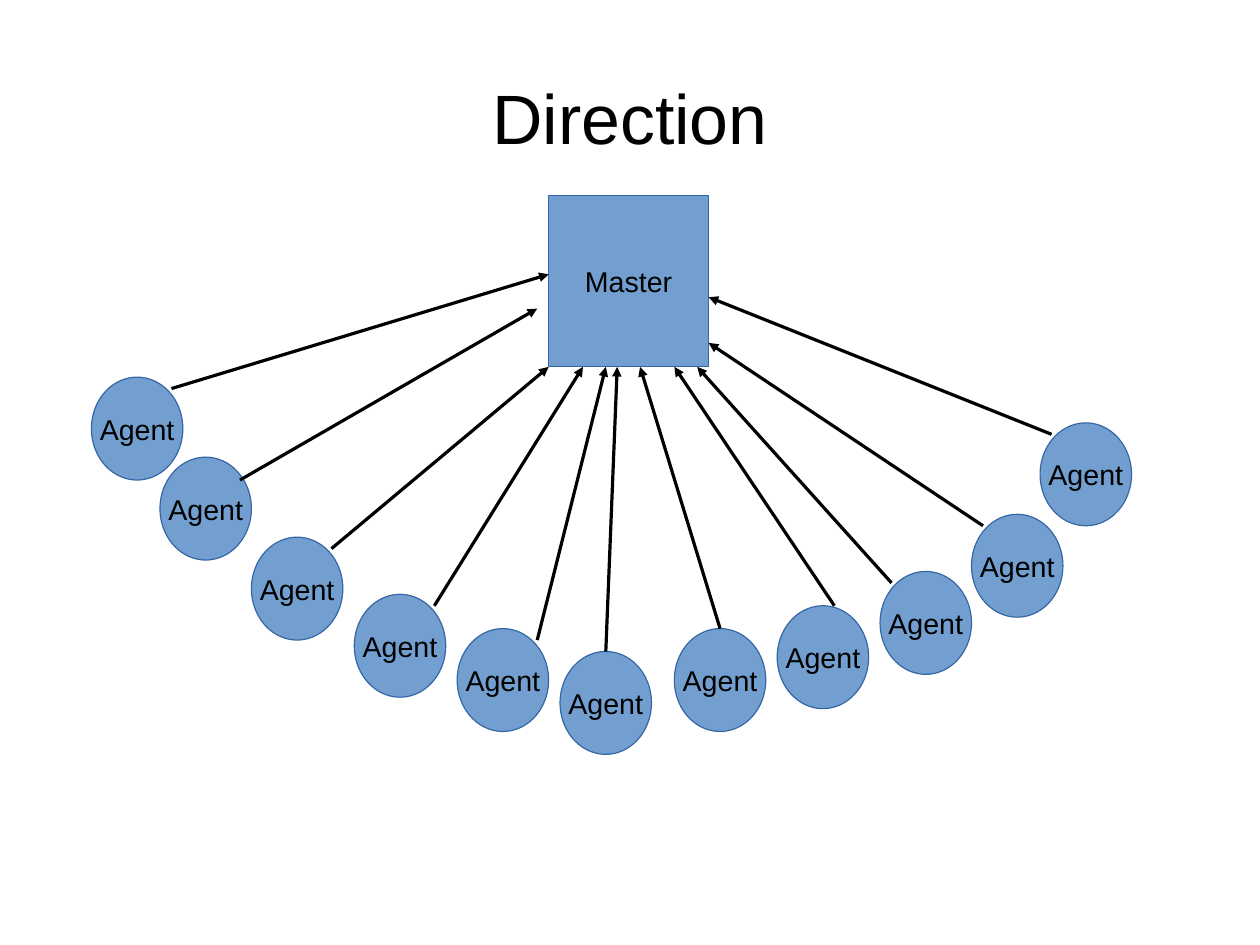
"""Build the Direction slide: agents along an arc pointing to their master."""
from typing import NamedTuple

from lxml import etree
from pptx import Presentation
from pptx.dml.color import RGBColor
from pptx.enum.shapes import MSO_CONNECTOR, MSO_SHAPE
from pptx.enum.text import MSO_ANCHOR, MSO_AUTO_SIZE, PP_ALIGN
from pptx.oxml.ns import qn
from pptx.util import Cm, Pt

STRAIGHT = MSO_CONNECTOR.STRAIGHT
RECTANGLE, OVAL = MSO_SHAPE.RECTANGLE, MSO_SHAPE.OVAL
MIDDLE, CENTER = MSO_ANCHOR.MIDDLE, PP_ALIGN.CENTER
NO_AUTOFIT = MSO_AUTO_SIZE.NONE

COLORS = {"fill": "729FCF", "outline": "3465A4", "ink": "000000"}
GRID_CM = 0.254
AGENT_WIDTH, AGENT_HEIGHT = 8, 9
TOP_SITE = 0
TOP_MIDDLE = (AGENT_WIDTH / 2, 0)
UPPER_RIGHT, UPPER_LEFT = (7, 1), (1, 1)
MASTER_LEFT, MASTER_TOP, MASTER_WIDTH, MASTER_HEIGHT = 48, 17.1, 14, 15
MASTER_RIGHT = MASTER_LEFT + MASTER_WIDTH
MASTER_BOTTOM = MASTER_TOP + MASTER_HEIGHT

NODE_FRAME = {
    "margin_left": Cm(0.25), "margin_right": Cm(0.25),
    "margin_top": Cm(0.13), "margin_bottom": Cm(0.13),
    "vertical_anchor": MIDDLE, "word_wrap": False,
}
TITLE_FRAME = {
    "margin_left": 0, "margin_right": 0, "margin_top": 0, "margin_bottom": 0,
    "vertical_anchor": MIDDLE, "word_wrap": True, "auto_size": NO_AUTOFIT,
}
TITLE_PLACE = {"left": Cm(1.4), "top": Cm(0.84), "width": Cm(25.2), "height": Cm(3.51)}


class Agent(NamedTuple):
    """An agent's corner, its arrow's start within it, and the arrow's target, in grid steps."""
    left: float
    top: float
    start: tuple[float, float]
    target: tuple[float, float]


AGENTS = [
    Agent(8, 33, UPPER_RIGHT, (MASTER_LEFT, 24)),
    Agent(14, 40, (7, 2), (47, 27)),
    Agent(22, 47, UPPER_RIGHT, (MASTER_LEFT, MASTER_BOTTOM)),
    Agent(31, 52, UPPER_RIGHT, (51, MASTER_BOTTOM)),
    Agent(40, 55, UPPER_RIGHT, (53, MASTER_BOTTOM)),
    Agent(49, 57, TOP_MIDDLE, (54, MASTER_BOTTOM)),
    Agent(59, 55, TOP_MIDDLE, (56, MASTER_BOTTOM)),
    Agent(68, 53, (5, 0), (59, MASTER_BOTTOM)),
    Agent(77, 50, UPPER_LEFT, (61, MASTER_BOTTOM)),
    Agent(85, 45, UPPER_LEFT, (MASTER_RIGHT, 30)),
    Agent(91, 37, UPPER_LEFT, (MASTER_RIGHT, 26)),
]


def grid(steps: float) -> Cm:
    """Convert grid steps to a length."""
    return Cm(steps * GRID_CM)


def color(role: str) -> RGBColor:
    """Look up a colour by its role."""
    return RGBColor.from_string(COLORS[role])


def apply(target, values: dict) -> None:
    """Set each named attribute on the target."""
    for attribute, value in values.items():
        setattr(target, attribute, value)


def write(shape, label: str, size: int, frame_format: dict) -> None:
    """Put a centred label into a shape."""
    frame = shape.text_frame
    frame.text = label
    apply(frame, frame_format)
    paragraph = frame.paragraphs[0]
    paragraph.alignment = CENTER
    font = paragraph.runs[0].font
    apply(font, {"name": "Arial", "size": Pt(size)})
    font.color.rgb = color("ink")


def add_node(slide, kind, label: str, left: float, top: float, width: float, height: float):
    """Draw a labelled node and return it."""
    node = slide.shapes.add_shape(kind, grid(left), grid(top), grid(width), grid(height))
    node.shadow.inherit = False
    node.fill.solid()
    node.fill.fore_color.rgb = color("fill")
    node.line.color.rgb = color("outline")
    node.line.width = Cm(0)
    write(node, label, 18, NODE_FRAME)
    return node


def add_arrow(slide, agent: Agent, node) -> None:
    """Draw the arrow from an agent to its target."""
    start = (agent.left + agent.start[0], agent.top + agent.start[1])
    arrow = slide.shapes.add_connector(STRAIGHT, *map(grid, start + agent.target))
    arrow.line.color.rgb = color("ink")
    arrow.line.width = Cm(0)
    if agent.start == TOP_MIDDLE:
        arrow.begin_connect(node, TOP_SITE)
    properties = arrow.line._get_or_add_ln()
    etree.SubElement(properties, qn("a:tailEnd"), type="triangle")
    etree.SubElement(properties.getparent(), qn("a:effectLst"))


def main() -> None:
    """Build and save the slide."""
    presentation = Presentation()
    apply(presentation, {"slide_width": Cm(28), "slide_height": Cm(21)})
    slide = presentation.slides.add_slide(presentation.slide_layouts[5])
    title = slide.shapes.title
    apply(title, TITLE_PLACE)
    write(title, "Direction", 44, TITLE_FRAME)
    add_node(slide, RECTANGLE, "Master", MASTER_LEFT, MASTER_TOP, MASTER_WIDTH, MASTER_HEIGHT)
    nodes = [
        add_node(slide, OVAL, "Agent", agent.left, agent.top, AGENT_WIDTH, AGENT_HEIGHT)
        for agent in AGENTS
    ]
    for agent, node in zip(AGENTS, nodes):
        add_arrow(slide, agent, node)
    presentation.save("out.pptx")


if __name__ == "__main__":
    main()
